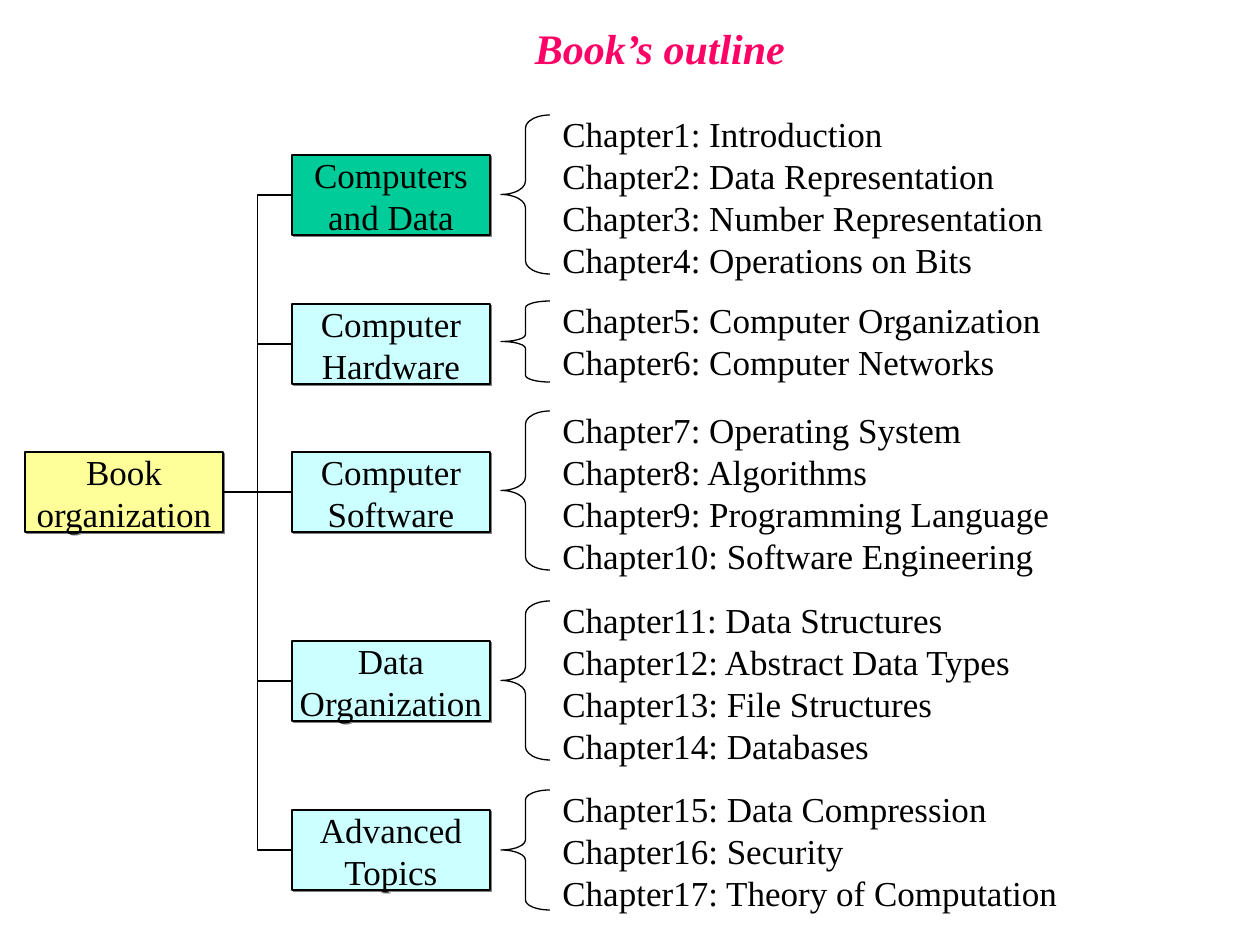
import pptx
import pptx.util
import pptx.dml.color
import pptx.enum.shapes
import pptx.enum.text
import pptx.oxml
import pptx.oxml.ns

RGBColor = pptx.dml.color.RGBColor
SHAPE = pptx.enum.shapes.MSO_SHAPE
LINK = pptx.enum.shapes.MSO_CONNECTOR
ALIGN = pptx.enum.text.PP_ALIGN
Pt = pptx.util.Pt

BLACK = RGBColor(0x00, 0x00, 0x00)
PINK = RGBColor(0xFF, 0x00, 0x66)
YELLOW = RGBColor(0xFF, 0xFF, 0x99)
GREEN = RGBColor(0x00, 0xCC, 0x99)
CYAN = RGBColor(0xCC, 0xFF, 0xFF)

SCALE = 914400 // 126  # EMU in one px
BOX_W, BOX_H = 198, 80
BRACE_X, BRACE_W = 501, 49
LIST_X, LIST_W = 550, 645
BODY = {"name": "Times New Roman", "size": Pt(20)}
HEAD = {"name": "Times New Roman", "size": Pt(24), "bold": True, "italic": True}

# part name, fill, top of box, top of brace, chapters
PARTS = [
    (["Computers", "and Data"], GREEN, 155, 115,
     ["Chapter1: Introduction", "Chapter2: Data Representation",
      "Chapter3: Number Representation", "Chapter4: Operations on Bits"]),
    (["Computer", "Hardware"], CYAN, 304, 301,
     ["Chapter5: Computer Organization", "Chapter6: Computer Networks"]),
    (["Computer", "Software"], CYAN, 452, 411,
     ["Chapter7: Operating System", "Chapter8: Algorithms",
      "Chapter9: Programming Language", "Chapter10: Software Engineering"]),
    (["Data", "Organization"], CYAN, 641, 601,
     ["Chapter11: Data Structures", "Chapter12: Abstract Data Types",
      "Chapter13: File Structures", "Chapter14: Databases"]),
    (["Advanced", "Topics"], CYAN, 810, 790,
     ["Chapter15: Data Compression", "Chapter16: Security",
      "Chapter17: Theory of Computation"]),
]


def px(*sizes):
    return [size * SCALE for size in sizes]


def write(frame, lines, style, color, align):
    for i, line in enumerate(lines):
        para = frame.paragraphs[0] if i == 0 else frame.add_paragraph()
        para.alignment = align
        run = para.add_run()
        run.text = line
        for key, value in style.items():
            setattr(run.font, key, value)
        run.font.color.rgb = color


def ink(line):
    line.color.rgb = BLACK
    line.width = Pt(0.75)


def shade(shape):
    """Give the shape a hard grey shadow to the lower right."""
    shape.shadow.inherit = False
    effects = shape._element.spPr.find(pptx.oxml.ns.qn("a:effectLst"))
    effects.append(pptx.oxml.parse_xml(
        f'<a:outerShdw {pptx.oxml.ns.nsdecls("a")} dist="17780" dir="2700000" '
        'algn="ctr" rotWithShape="0"><a:srgbClr val="808080"/></a:outerShdw>'))


def add_box(slide, x, y, lines, fill):
    box = slide.shapes.add_shape(SHAPE.RECTANGLE, *px(x, y, BOX_W, BOX_H))
    box.fill.solid()
    box.fill.fore_color.rgb = fill
    ink(box.line)
    shade(box)
    frame = box.text_frame
    frame.word_wrap = False
    frame.vertical_anchor = pptx.enum.text.MSO_ANCHOR.MIDDLE
    write(frame, lines, BODY, BLACK, ALIGN.CENTER)
    return box


def add_link(slide, start, end):
    kind = LINK.STRAIGHT if start.top == end.top else LINK.ELBOW
    link = slide.shapes.add_connector(kind, 0, 0, 0, 0)
    link.begin_connect(start, 3)
    link.end_connect(end, 1)
    ink(link.line)
    link._element.spPr.append(pptx.oxml.parse_xml(
        f'<a:effectLst {pptx.oxml.ns.nsdecls("a")}/>'))


def add_brace(slide, y, high):
    brace = slide.shapes.add_shape(SHAPE.LEFT_BRACE, *px(BRACE_X, y, BRACE_W, high))
    brace.adjustments[0] = high / 12 / BRACE_W
    brace.fill.background()
    ink(brace.line)
    brace.shadow.inherit = False


def add_text(slide, x, y, wide, high, lines, style, color, align):
    frame = slide.shapes.add_textbox(*px(x, y, wide, high)).text_frame
    frame.word_wrap = True
    frame.auto_size = pptx.enum.text.MSO_AUTO_SIZE.SHAPE_TO_FIT_TEXT
    write(frame, lines, style, color, align)


def main():
    deck = pptx.Presentation()
    deck.slide_width, deck.slide_height = px(1260, 945)
    slide = deck.slides.add_slide(deck.slide_layouts[6])

    root = add_box(slide, 25, 452, ["Book", "organization"], YELLOW)
    for name, fill, top, y, items in PARTS:
        box = add_box(slide, 292, top, name, fill)
        add_link(slide, root, box)
        count = len(items)
        add_brace(slide, y, 39 * count + 3)
        add_text(slide, LIST_X, y - 9, LIST_W, 42 * count + 13,
                 items, BODY, BLACK, ALIGN.LEFT)
    add_text(slide, 104, 16, 1112, 63, ["Book’s outline"], HEAD, PINK, ALIGN.CENTER)
    deck.save("out.pptx")


if __name__ == "__main__":
    main()
